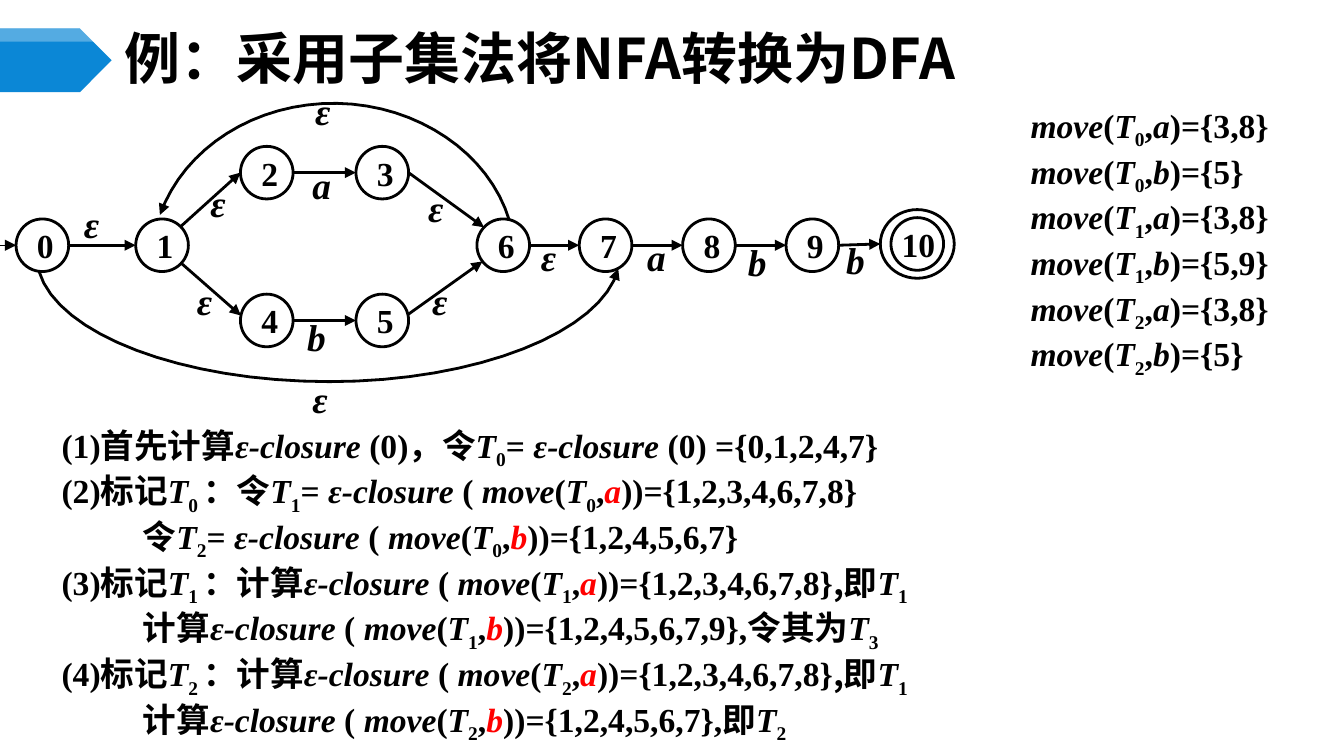
from dataclasses import dataclass
from math import cos, radians, sin
from typing import NamedTuple

from lxml import etree
from pptx import Presentation
from pptx.dml.color import RGBColor
from pptx.enum.shapes import MSO_CONNECTOR, MSO_SHAPE
from pptx.enum.text import MSO_ANCHOR, PP_ALIGN
from pptx.oxml.ns import qn
from pptx.util import Pt

STRAIGHT = MSO_CONNECTOR.STRAIGHT
OVAL = MSO_SHAPE.OVAL
MIDDLE, TOP = MSO_ANCHOR.MIDDLE, MSO_ANCHOR.TOP
CENTER, LEFT = PP_ALIGN.CENTER, PP_ALIGN.LEFT


@dataclass(frozen=True)
class Theme:
    black: RGBColor = RGBColor(0, 0, 0)
    red: RGBColor = RGBColor(255, 0, 0)
    blue: RGBColor = RGBColor(0x0B, 0x87, 0xD6)
    white: RGBColor = RGBColor(255, 255, 255)
    serif: str = "Times New Roman"
    sans: str = "Noto Sans CJK SC"
    title: float = 30
    label: float = 20
    body: float = 18
    leading: float = 24.5
    stroke: float = 1.5
    thin_stroke: float = 0.75


THEME = Theme()


class Run(NamedTuple):
    text: str
    italic: bool = False
    subscript: bool = False
    chinese: bool = False
    red: bool = False


class Node(NamedTuple):
    x: float
    y: float
    radius: float = 14.1


class Edge(NamedTuple):
    source: int
    target: int
    leave: float = 0
    arrive: float = 180


class Line(NamedTuple):
    runs: list[Run]
    indent: float = 0


# Text pieces
def chinese(text: str) -> Run:
    return Run(text, chinese=True)


def state_set(number: int, after: str = "") -> list[Run]:
    return [Run("T", italic=True), Run(f"{number}{after}", subscript=True)]


def move(number: int, symbol: str, red: bool = False) -> list[Run]:
    return [Run("move", italic=True), Run("("), *state_set(number), Run(","),
            Run(symbol, italic=True, red=red)]


def closure(number: int, symbol: str, result: str) -> list[Run]:
    return [Run("ε-closure ", italic=True), Run("( "), *move(number, symbol, True), Run(f"))={result}")]


def mark(step: int, number: int, verb: str) -> list[Run]:
    return [Run(f"({step})"), chinese("标记"), *state_set(number, " "), chinese(f"：{verb}")]


# Drawing functions
def add_runs(paragraph, runs: list[Run], size: float) -> None:
    for piece in runs:
        run = paragraph.add_run()
        run.text = piece.text
        font = run.font
        font.size, font.bold, font.italic = Pt(size), True, piece.italic
        font.color.rgb = THEME.red if piece.red else THEME.black
        font.name = THEME.sans if piece.chinese else THEME.serif
        properties = run._r.get_or_add_rPr()
        etree.SubElement(properties, qn("a:ea")).set("typeface", THEME.sans)
        if piece.subscript:
            properties.set("baseline", "-25000")


def add_text(slide, left: float, top: float, width: float, height: float, lines: list[Line],
             size: float, wrap: bool = False, inset: float = 7.2,
             right_inset: float = 7.2, leading: float | None = None, anchor=TOP) -> None:
    frame = slide.shapes.add_textbox(Pt(left), Pt(top), Pt(width), Pt(height)).text_frame
    frame.word_wrap, frame.vertical_anchor = wrap, anchor
    frame.margin_left, frame.margin_right = Pt(inset), Pt(right_inset)
    for index, line in enumerate(lines):
        paragraph = frame.add_paragraph() if index else frame.paragraphs[0]
        paragraph.alignment = LEFT
        if leading:
            paragraph.line_spacing = Pt(leading)
        if line.indent:
            paragraph._p.get_or_add_pPr().set("marL", str(Pt(line.indent)))
        add_runs(paragraph, line.runs, size)


def add_circle(slide, node: Node, radius_y: float, label: str = "") -> None:
    shape = slide.shapes.add_shape(OVAL, Pt(node.x - node.radius), Pt(node.y - radius_y),
                                   Pt(2 * node.radius), Pt(2 * radius_y))
    shape.shadow.inherit = False
    shape.fill.background()
    shape.line.color.rgb, shape.line.width = THEME.black, Pt(THEME.stroke)
    if label:
        shape.text_frame.vertical_anchor = MIDDLE
        shape.text_frame.paragraphs[0].alignment = CENTER
        add_runs(shape.text_frame.paragraphs[0], [Run(label)], THEME.body)


def style_arrow(shape, width: float) -> None:
    shape.line.color.rgb, shape.line.width = THEME.black, Pt(width)
    etree.SubElement(shape.line._get_or_add_ln(), qn("a:tailEnd")).set("type", "triangle")


def add_arrow(slide, start: tuple, end: tuple, width: float) -> None:
    connector = slide.shapes.add_connector(STRAIGHT, *(Pt(value) for value in (*start, *end)))
    style_arrow(connector, width)
    etree.SubElement(connector._element.spPr, qn("a:effectLst"))


def add_outline(slide, points: list[tuple], close: bool):
    (x, y), *rest = [(Pt(x), Pt(y)) for x, y in points]
    builder = slide.shapes.build_freeform(x, y, scale=1.0)
    builder.add_line_segments(rest, close=close)
    shape = builder.convert_to_shape()
    shape.shadow.inherit = False
    return shape


def add_curved_arrow(slide, points: list[tuple], steps: int = 16) -> None:
    path = [points[0]]
    for first in range(0, len(points) - 1, 3):
        controls = points[first:first + 4]
        for step in range(1, steps + 1):
            t = step / steps
            weights = ((1 - t) ** 3, 3 * t * (1 - t) ** 2, 3 * t * t * (1 - t), t ** 3)
            path.append(tuple(sum(w * p[axis] for w, p in zip(weights, controls)) for axis in (0, 1)))
    shape = add_outline(slide, path, False)
    shape.fill.background()
    style_arrow(shape, THEME.stroke)


def add_banner(slide, bottom: float, shoulder: float, color: RGBColor):
    top, tip = 15.2, 59.8
    shape = add_outline(slide, [(0, top), (shoulder, top), (tip, (top + bottom) / 2),
                                (shoulder, bottom), (0, bottom)], True)
    shape.fill.solid()
    shape.fill.fore_color.rgb = color
    shape.line.fill.background()
    return shape


def rim(node: Node, angle: float) -> tuple:
    return (node.x + node.radius * cos(radians(angle)), node.y + node.radius * sin(radians(angle)))


# Automaton
ROW = 131.4
NODES = [Node(22.7, ROW), Node(86.8, ROW), Node(142.9, 92.5), Node(204.8, 92.5),
         Node(142.9, 171.7), Node(204.8, 171.7), Node(269.6, ROW), Node(324.4, ROW),
         Node(379.8, ROW), Node(435.2, ROW), Node(491.4, 130.7, 19.8)]
EDGES = [Edge(0, 1), Edge(1, 2, -45, 180), Edge(1, 4, 43, 191), Edge(2, 3), Edge(4, 5),
         Edge(3, 6, 0, -137), Edge(5, 6, -13, 142), Edge(6, 7), Edge(7, 8), Edge(8, 9), Edge(9, 10)]
LABELS = [("ε", 163.4, 198), ("a", 163.4, 83.5), ("ε", 101.5, 145.4), ("ε", 41, 104.4),
          ("ε", 108.7, 92.9), ("ε", 285.8, 121.7), ("ε", 164.9, 43.9), ("b", 160.6, 164.9),
          ("ε", 225.4, 95.8), ("ε", 227.5, 145.4), ("a", 342.7, 121.7), ("b", 396.7, 124.6),
          ("b", 449.3, 123.8)]
BACK_ARC = [(272.9, 118.1), (262.1, 82.1), (223.9, 56.2), (180.7, 55.4),
            (136.8, 54.7), (98.6, 79.2), (85.7, 115.2)]
SKIP_ARC = [(20.9, 145.4), (31, 179.3), (97.9, 204.5), (176.4, 204.5),
            (255.6, 204.5), (322.6, 177.8), (331.2, 144)]

# Derivation
INDENT = 43.5
STEPS = [
    Line([Run("(1)"), chinese("首先计算"), Run("ε-closure ", italic=True), Run("(0)"), chinese("，令"),
          *state_set(0), Run("="), Run(" ε-closure ", italic=True), Run("(0) ={0,1,2,4,7}")]),
    Line([*mark(2, 0, "令"), *state_set(1), Run("= "), *closure(0, "a", "{1,2,3,4,6,7,8}")]),
    Line([chinese("令"), *state_set(2), Run("= "), *closure(0, "b", "{1,2,4,5,6,7}")], INDENT),
    Line([*mark(3, 1, "计算"), *closure(1, "a", "{1,2,3,4,6,7,8}"), chinese(",即"), *state_set(1)]),
    Line([chinese("计算"), *closure(1, "b", "{1,2,4,5,6,7,9},"), chinese("令其为"), *state_set(3)], INDENT),
    Line([*mark(4, 2, "计算"), *closure(2, "a", "{1,2,3,4,6,7,8}"), chinese(",即"), *state_set(1)]),
    Line([chinese("计算"), *closure(2, "b", "{1,2,4,5,6,7},"), chinese("即"), *state_set(2)], INDENT),
]
MOVES = [Line([*move(number, symbol), Run(f")={result}")])
         for number, results in enumerate([("{3,8}", "{5}"), ("{3,8}", "{5,9}"), ("{3,8}", "{5}")])
         for symbol, result in zip("ab", results)]


def main() -> None:
    presentation = Presentation()
    presentation.slide_width, presentation.slide_height = Pt(720), Pt(405)
    slide = presentation.slides.add_slide(presentation.slide_layouts[6])

    # Title and banner
    add_text(slide, 59.8, 16.6, 624, 28, [Line([chinese("例：采用子集法将NFA转换为DFA")])],
             THEME.title, wrap=True, anchor=MIDDLE)
    add_banner(slide, 49.4, 42.8, THEME.blue)
    highlight = add_banner(slide, 22.4, 56.2, THEME.white)
    color = highlight._element.spPr.find(".//" + qn("a:srgbClr"))
    etree.SubElement(color, qn("a:alpha")).set("val", "30000")

    # States, with a double ring for the accepting one
    for number, node in enumerate(NODES[:-1]):
        add_circle(slide, node, node.radius, str(number))
    final = NODES[-1]
    add_circle(slide, final, 18.4)
    add_circle(slide, final._replace(radius=14.1), 14.1)
    add_text(slide, 475.9, 116.6, 33.8, 28.8, [Line([Run("10")])], THEME.body)

    # Transitions
    add_arrow(slide, (0, ROW), rim(NODES[0], 180), THEME.thin_stroke)
    for edge in EDGES:
        add_arrow(slide, rim(NODES[edge.source], edge.leave),
                  rim(NODES[edge.target], edge.arrive), THEME.stroke)
    for arc in (BACK_ARC, SKIP_ARC):
        add_curved_arrow(slide, arc)
    for symbol, left, top in LABELS:
        add_text(slide, left, top, 11.5, 31.7, [Line([Run(symbol, italic=True)])],
                 THEME.label, inset=4, right_inset=0)

    # Derivation and move table
    add_text(slide, 25.9, 223.9, 612.7, 179.3, STEPS, THEME.body, wrap=True, leading=THEME.leading)
    add_text(slide, 545, 52.6, 157, 154.8, MOVES, THEME.body, wrap=True, leading=THEME.leading)
    presentation.save("out.pptx")


if __name__ == "__main__":
    main()
